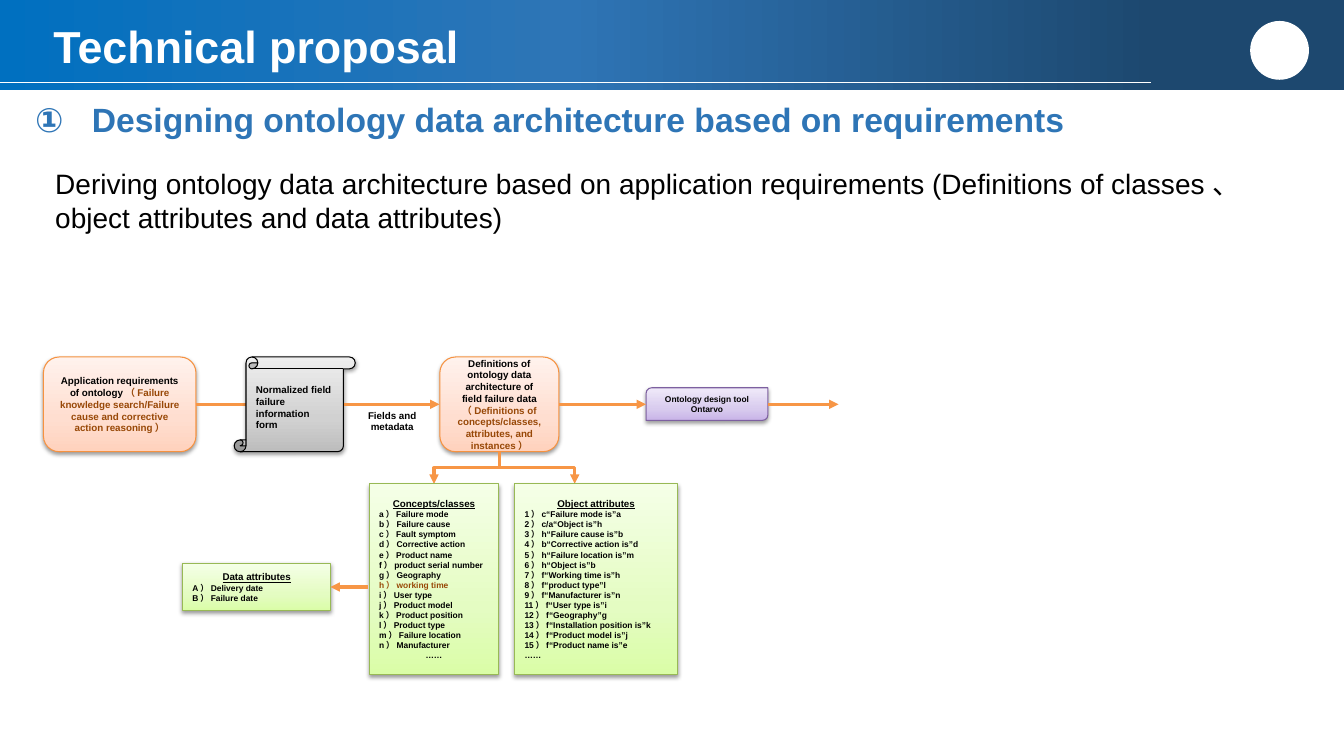
from lxml.etree import SubElement
from pptx import Presentation
from pptx.dml.color import RGBColor
from pptx.enum.shapes import MSO_CONNECTOR as Link, MSO_SHAPE as Shape
from pptx.enum.text import MSO_ANCHOR as Anchor, MSO_AUTO_SIZE as AutoSize, PP_ALIGN as Align
from pptx.oxml.ns import qn
from pptx.util import Pt

COLORS = {
    "white": "FFFFFF", "black": "000000", "heading": "2E75B6",
    "brown": "984807", "arrow": "F79646",
}
BANNER_STOPS = [(14, "1D486F"), (58, "2E75B6"), (100, "0070C0")]
# Each theme: outline, then the gradient from bottom to top
THEMES = {
    "orange": ("F69240", ["FFD2BD", "FFDED0", "FFF2ED"]),
    "grey": ("000000", ["BDBDBD", "D1D1D1", "EEEEEE"]),
    "purple": ("7D60A0", ["C9B5E8", "D8CBEE", "F0EAF9"]),
    "green": ("98B955", ["DAFDA7", "E4FCC2", "F5FFE7"]),
}
FLOW_TOP, FLOW_HEIGHT, FLOW_AXIS = 255, 67.7, 288.8
LIST_TOP, LIST_HEIGHT = 345.6, 136

CONCEPTS = [
    "a）Failure mode", "b）Failure cause", "c）Fault symptom",
    "d）Corrective action", "e）Product name", "f）product serial number",
    "g）Geography", "h）working time", "i）User type", "j）Product model",
    "k）Product position", "l）Product type", "m）Failure location",
    "n）Manufacturer",
]
OBJECT_ATTRIBUTES = [
    "1）c“Failure mode is”a", "2）c/a“Object is”h", "3）h“Failure cause is”b",
    "4）b“Corrective action is”d", "5）h“Failure location is”m",
    "6）h“Object is”b", "7）f“Working time is”h", "8）f“product type”l",
    "9）f“Manufacturer is”n", "11）f“User type is”i", "12）f“Geography”g",
    "13）f“Installation position is”k", "14）f“Product model is”j",
    "15）f“Product name is”e", "……",
]
DATA_ATTRIBUTES = ["A）Delivery date", "B）Failure date"]


def rgb(name):
    return RGBColor.from_string(COLORS.get(name, name))


def add_line(box, text, size, color="black", bold=True, align=Align.LEFT):
    """Write text into the box's first free paragraph."""
    frame = box.text_frame
    para = frame.paragraphs[0]
    if para.text:
        para = frame.add_paragraph()
    para.text = text
    para.alignment = align
    font = para.font
    font.name, font.size, font.bold = "Arial", Pt(size), bold
    font.color.rgb = rgb(color)
    return para


def fill_gradient(shape, stops, angle):
    shape.fill.gradient()
    shape.fill.gradient_angle = angle
    stop_list = shape.element.spPr.find(qn("a:gradFill")).find(qn("a:gsLst"))
    for stop in list(stop_list):
        stop_list.remove(stop)
    for position, color in stops:
        stop = SubElement(stop_list, qn("a:gs"), pos=str(position * 1000))
        SubElement(stop, qn("a:srgbClr"), val=color)


def add_shadow(shape):
    shape.shadow.inherit = False
    effects = shape.element.spPr.find(qn("a:effectLst"))
    shadow = SubElement(effects, qn("a:outerShdw"), blurRad=str(Pt(3.1)),
                        dist=str(Pt(1.6)), dir="5400000", rotWithShape="0")
    color = SubElement(shadow, qn("a:srgbClr"), val=COLORS["black"])
    SubElement(color, qn("a:alpha"), val="38000")


def add_node(page, kind, theme, left, top, width, height):
    node = page.shapes.add_shape(kind, Pt(left), Pt(top), Pt(width), Pt(height))
    outline, colors = THEMES[theme]
    fill_gradient(node, zip((0, 35, 100), colors), 90)
    node.line.color.rgb = rgb(outline)
    node.line.width = Pt(0.75)
    add_shadow(node)
    node.text_frame.word_wrap = True
    node.text_frame.vertical_anchor = Anchor.MIDDLE
    return node


def add_list(page, title, items, left, top, width, height):
    node = add_node(page, Shape.FLOWCHART_PROCESS, "green", left, top, width, height)
    add_line(node, title, 7, align=Align.CENTER).font.underline = True
    for item in items:
        add_line(node, item, 6, "brown" if item == "h）working time" else "black")
    return node


def add_text_box(page, left, top, width, height, wrap=True):
    box = page.shapes.add_textbox(Pt(left), Pt(top), Pt(width), Pt(height))
    box.text_frame.word_wrap = wrap
    return box


def add_link(page, kind, start, end, color, width):
    link = page.shapes.add_connector(kind, *map(Pt, start + end))
    link.line.color.rgb = rgb(color)
    link.line.width = Pt(width)
    SubElement(link.element.spPr, qn("a:effectLst"))
    return link


def add_arrow(page, start, end, kind=Link.STRAIGHT):
    arrow = add_link(page, kind, start, end, "arrow", 2.25)
    SubElement(arrow.element.spPr.find(qn("a:ln")), qn("a:tailEnd"), type="triangle")
    return arrow


def add_branch(page, start, end):
    """Elbow arrow that leaves and arrives vertically: a level one turned by 90 degrees."""
    (x1, y1), (x2, y2) = start, end
    middle_x, middle_y = (x1 + x2) / 2, (y1 + y2) / 2
    half_drop, half_shift = (y2 - y1) / 2, (x1 - x2) / 2
    arrow = add_arrow(page, (middle_x - half_drop, middle_y - half_shift),
                      (middle_x + half_drop, middle_y + half_shift), Link.ELBOW)
    arrow.element.spPr.find(qn("a:xfrm")).set("rot", "5400000")


def add_header(page):
    banner = page.shapes.add_shape(Shape.RECTANGLE, 0, 0, Pt(960), Pt(64))
    fill_gradient(banner, BANNER_STOPS, 180)
    banner.line.fill.background()
    banner.shadow.inherit = False
    add_link(page, Link.STRAIGHT, (0, 59), (822, 59), "white", 0.5)
    emblem = page.shapes.add_shape(Shape.OVAL, Pt(893), Pt(15), Pt(42), Pt(42))
    emblem.fill.solid()
    emblem.fill.fore_color.rgb = rgb("white")
    emblem.line.fill.background()
    emblem.shadow.inherit = False

    title = page.shapes.title
    page.shapes.element.append(title.element)  # in front of the banner
    title.left, title.top, title.width, title.height = map(Pt, (31, 17.5, 808, 35))
    title.text_frame.auto_size = AutoSize.NONE
    title.text_frame.vertical_anchor = Anchor.MIDDLE
    add_line(title, "Technical proposal", 32, "white").line_spacing = 0.9


def add_intro(page):
    heading = add_text_box(page, 18, 67, 757, 36, wrap=False)
    para = add_line(heading, "Designing ontology data architecture based on requirements",
                    24, "heading")
    props = para._p.get_or_add_pPr()
    props.set("marL", str(Pt(40.5)))
    props.set("indent", str(-Pt(40.5)))
    props.insert(0, props.makeelement(qn("a:buAutoNum"), type="circleNumDbPlain"))
    body = add_text_box(page, 32.4, 115.5, 880.5, 55.5)
    add_line(body, "Deriving ontology data architecture based on application requirements "
             "(Definitions of classes、object attributes and data attributes)", 20, bold=False)


def add_flow(page):
    needs = add_node(page, Shape.ROUNDED_RECTANGLE, "orange", 31, FLOW_TOP, 109, FLOW_HEIGHT)
    para = add_line(needs, "Application requirements of ontology", 7, align=Align.CENTER)
    span = para.add_run()
    span.text = "（Failure knowledge search/Failure cause and corrective action reasoning）"
    span.font.color.rgb = rgb("brown")

    add_arrow(page, (140, FLOW_AXIS), (205, FLOW_AXIS))
    form = add_node(page, Shape.VERTICAL_SCROLL, "grey", 167.3, FLOW_TOP, 86.5, FLOW_HEIGHT)
    add_line(form, "Normalized field failure information form", 7)

    core = add_node(page, Shape.ROUNDED_RECTANGLE, "orange", 314.2, FLOW_TOP, 85, FLOW_HEIGHT)
    add_line(core, "Definitions of ontology data architecture of field failure data", 7,
             align=Align.CENTER)
    add_line(core, "（Definitions of concepts/classes, attributes, and instances）", 7, "brown",
             align=Align.CENTER)

    label = add_text_box(page, 243.4, FLOW_AXIS, 73.4, 24.5)
    add_line(label, "Fields and metadata", 7, align=Align.CENTER)
    tool = add_node(page, Shape.ROUND_2_DIAG_RECTANGLE, "purple", 461.5, 277, 87, 23.3)
    for text in ("Ontology design tool", "Ontarvo"):
        add_line(tool, text, 6, align=Align.CENTER)
    for start, end in ((245.5, 314), (399.5, 461.5), (548.5, 599)):
        add_arrow(page, (start, FLOW_AXIS), (end, FLOW_AXIS))
    for target in (310, 410.5):
        add_branch(page, (356.9, FLOW_TOP + FLOW_HEIGHT), (target, LIST_TOP))


def add_lists(page):
    concepts = add_list(page, "Concepts/classes", CONCEPTS, 263.7, LIST_TOP, 92.5, LIST_HEIGHT)
    add_line(concepts, "……", 6, align=Align.CENTER)
    add_list(page, "Object attributes", OBJECT_ATTRIBUTES, 367.6, LIST_TOP, 116.5, LIST_HEIGHT)
    add_list(page, "Data attributes", DATA_ATTRIBUTES, 130.3, 402.3, 106, 34)
    add_arrow(page, (263, 419.3), (236, 419.3))


def main():
    deck = Presentation()
    deck.slide_width, deck.slide_height = Pt(960), Pt(540)
    page = deck.slides.add_slide(deck.slide_layouts[5])
    add_header(page)
    add_intro(page)
    add_flow(page)
    add_lists(page)
    deck.save("out.pptx")


if __name__ == "__main__":
    main()
